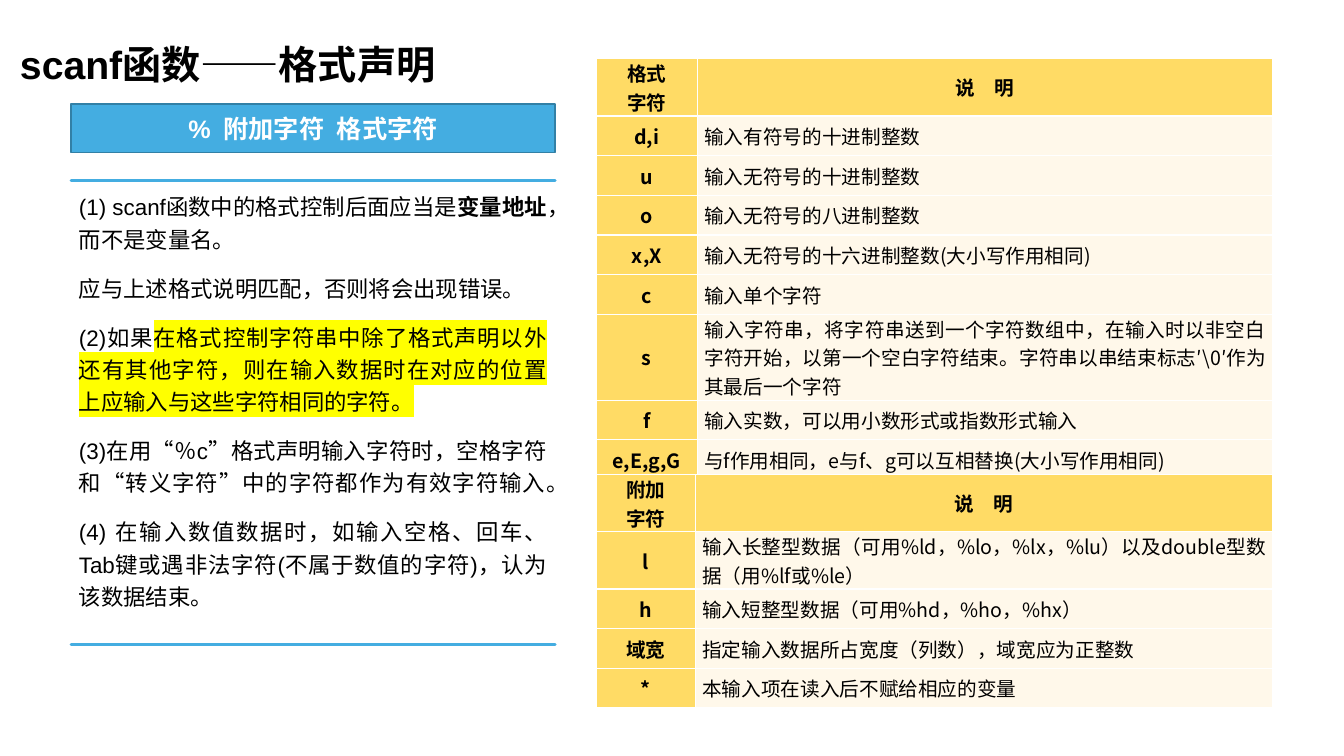
from lxml.etree import SubElement
from pptx import Presentation
from pptx.dml.color import RGBColor
from pptx.enum.shapes import MSO_SHAPE
from pptx.enum.text import MSO_ANCHOR, PP_ALIGN
from pptx.oxml.ns import qn
from pptx.util import Cm, Pt

BLACK = RGBColor(0x00, 0x00, 0x00)
WHITE = RGBColor(0xFF, 0xFF, 0xFF)
BLUE = RGBColor(0x44, 0xAD, 0xE1)
DARK_BLUE = RGBColor(0x32, 0x80, 0xA6)
GOLD = RGBColor(0xFF, 0xDB, 0x65)
CREAM = RGBColor(0xFF, 0xF8, 0xEA)
YELLOW = RGBColor(0xFF, 0xFF, 0x00)
CJK_FONT = "Noto Sans CJK SC"


def add_run(paragraph, text, size, color=BLACK, bold=False, font="Arial", highlight=None):
    run = paragraph.add_run()
    run.text = text
    run.font.size, run.font.bold = Pt(size), bold
    run.font.color.rgb = color
    props = run.font._element
    if highlight:
        SubElement(SubElement(props, qn("a:highlight")), qn("a:srgbClr"), val=str(highlight))
    run.font.name = font
    SubElement(props, qn("a:ea"), typeface=CJK_FONT)


def fill_cell(cell, lines, fill, align, bold):
    cell.vertical_anchor = MSO_ANCHOR.MIDDLE
    cell.margin_left = cell.margin_right = Cm(0.18)
    cell.margin_top = cell.margin_bottom = 0
    for index, line in enumerate(lines):
        frame = cell.text_frame
        paragraph = frame.add_paragraph() if index else frame.paragraphs[0]
        paragraph.alignment = align
        add_run(paragraph, line, 14, bold=bold, font=CJK_FONT)
    # Borders come before the fill in the cell properties
    props = cell._tc.get_or_add_tcPr()
    for side in "LRTB":
        border = SubElement(props, qn(f"a:ln{side}"), w=str(Pt(1)))
        SubElement(SubElement(border, qn("a:solidFill")), qn("a:srgbClr"), val=str(WHITE))
    cell.fill.solid()
    cell.fill.fore_color.rgb = fill


prs = Presentation()
prs.slide_width, prs.slide_height = Cm(33.87), Cm(19.05)
slide = prs.slides.add_slide(prs.slide_layouts[5])
shapes = slide.shapes

# Title
title = shapes.title
title.left, title.top, title.width, title.height = Cm(0.25), Cm(0.61), Cm(16.46), Cm(1.73)
title.text_frame.vertical_anchor = MSO_ANCHOR.BOTTOM
heading = title.text_frame.paragraphs[0]
heading.alignment, heading.line_spacing = PP_ALIGN.LEFT, 0.9
add_run(heading, "scanf函数——格式声明", 28, bold=True)

# Format syntax banner
LEFT, WIDTH = 1.79, 12.2
banner = shapes.add_shape(MSO_SHAPE.RECTANGLE, Cm(LEFT), Cm(2.62), Cm(WIDTH), Cm(1.22))
banner.shadow.inherit = False
banner.fill.solid()
banner.fill.fore_color.rgb = BLUE
banner.line.color.rgb, banner.line.width = DARK_BLUE, Pt(1)
banner.text_frame.vertical_anchor = MSO_ANCHOR.MIDDLE
syntax = banner.text_frame.paragraphs[0]
syntax.alignment = PP_ALIGN.CENTER
add_run(syntax, "%\u2002附加字符\u2002格式字符", 18, WHITE, bold=True)

# Format character and modifier tables
HEADER_GAP = "说\u3000明"
format_rows = [
    ("格式\n字符", HEADER_GAP),
    ("d,i", "输入有符号的十进制整数"),
    ("u", "输入无符号的十进制整数"),
    ("o", "输入无符号的八进制整数"),
    ("x,X", "输入无符号的十六进制整数(大小写作用相同)"),
    ("c", "输入单个字符"),
    ("s", "输入字符串，将字符串送到一个字符数组中，在输入时以非空白字符开始，"
          "以第一个空白字符结束。字符串以串结束标志′\\0′作为其最后一个字符"),
    ("f", "输入实数，可以用小数形式或指数形式输入"),
    ("e,E,g,G", "与f作用相同，e与f、g可以互相替换(大小写作用相同)"),
]
modifier_rows = [
    ("附加\n字符", HEADER_GAP),
    ("l", "输入长整型数据（可用%ld，%lo，%lx，%lu）以及double型数据（用%lf或%le）"),
    ("h", "输入短整型数据（可用%hd，%ho，%hx）"),
    ("域宽", "指定输入数据所占宽度（列数），域宽应为正整数"),
    ("*", "本输入项在读入后不赋给相应的变量"),
]
TABLE_WIDTH, ROW_HEIGHT = 17.05, 1
for rows, top, key_width in ((format_rows, 1.48, 2.54), (modifier_rows, 11.96, 2.49)):
    table = shapes.add_table(len(rows), 2, Cm(15.03), Cm(top), Cm(TABLE_WIDTH),
                             Cm(ROW_HEIGHT * len(rows))).table
    table.horz_banding = False
    table.columns[0].width = Cm(key_width)
    table.columns[1].width = Cm(TABLE_WIDTH - key_width)
    for r, (key, meaning) in enumerate(rows):
        header = r == 0
        table.rows[r].height = Cm(ROW_HEIGHT)
        fill_cell(table.cell(r, 0), key.split("\n"), GOLD, PP_ALIGN.CENTER, True)
        fill_cell(table.cell(r, 1), [meaning], GOLD if header else CREAM,
                  PP_ALIGN.CENTER if header else PP_ALIGN.JUSTIFY, header)

# Notes panel outlined only by its top and bottom edges
NOTES_TOP, NOTES_BOTTOM = 4.54, 16.25
left, right = Cm(LEFT), Cm(LEFT + WIDTH)
outline = shapes.build_freeform(left, Cm(NOTES_BOTTOM))
outline.add_line_segments([(right, Cm(NOTES_BOTTOM))], close=True)
outline.move_to(left, Cm(NOTES_TOP))
outline.add_line_segments([(right, Cm(NOTES_TOP))], close=True)
notes_panel = outline.convert_to_shape()
notes_panel.shadow.inherit = False
notes_panel.fill.background()
notes_panel.line.color.rgb, notes_panel.line.width = BLUE, Pt(2)

usage_notes = [
    [("(1) scanf函数中的格式控制后面应当是", {}), ("变量地址", {"bold": True}),
     ("，而不是变量名。", {})],
    [("应与上述格式说明匹配，否则将会出现错误。", {})],
    [("(2)如果", {}),
     ("在格式控制字符串中除了格式声明以外还有其他字符，则在输入数据时在对应的位置上"
      "应输入与这些字符相同的字符。", {"highlight": YELLOW})],
    [("(3)在用“％c”格式声明输入字符时，空格字符和“转义字符”中的字符都作为有效字符输入。", {})],
    [("(4) 在输入数值数据时，如输入空格、回车、Tab键或遇非法字符(不属于数值的字符)，"
      "认为该数据结束。", {})],
]
notes_frame = notes_panel.text_frame
notes_frame.word_wrap = True
notes_frame.vertical_anchor = MSO_ANCHOR.TOP
notes_frame.margin_left = notes_frame.margin_right = Cm(0.2)
notes_frame.margin_top = notes_frame.margin_bottom = Cm(0.2)
for index, note in enumerate(usage_notes):
    paragraph = notes_frame.add_paragraph() if index else notes_frame.paragraphs[0]
    paragraph.alignment, paragraph.line_spacing = PP_ALIGN.JUSTIFY, 1.2
    paragraph.space_before = paragraph.space_after = Pt(6)
    for text, style in note:
        add_run(paragraph, text, 16, **style)

prs.save("out.pptx")
